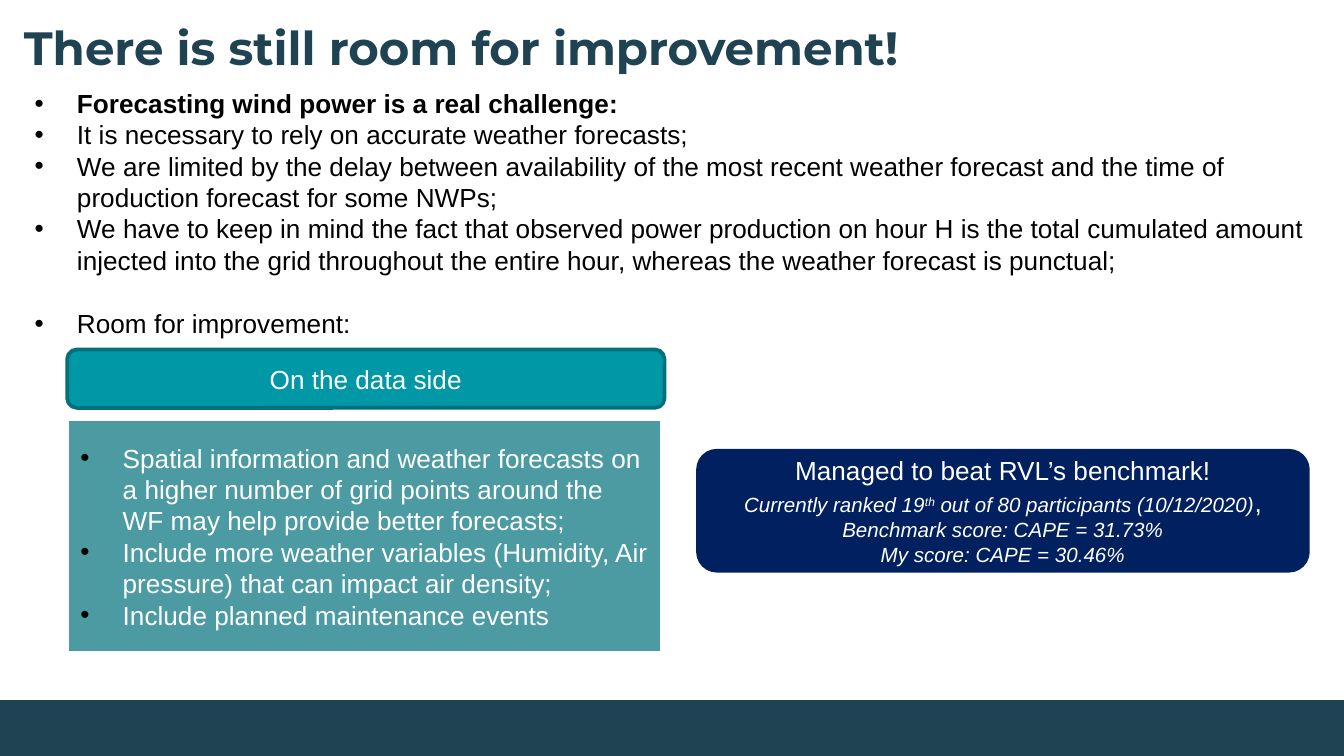
from pptx import Presentation
from pptx.dml.color import RGBColor
from pptx.enum.shapes import MSO_SHAPE
from pptx.enum.text import MSO_ANCHOR, PP_ALIGN
from pptx.oxml.ns import qn
from pptx.util import Pt
from lxml import etree

RECTANGLE, ROUNDED = MSO_SHAPE.RECTANGLE, MSO_SHAPE.ROUNDED_RECTANGLE
TOP, MIDDLE = MSO_ANCHOR.TOP, MSO_ANCHOR.MIDDLE
LEFT, CENTER = PP_ALIGN.LEFT, PP_ALIGN.CENTER

PX = 4572  # 200 px to the inch
WIDTH, HEIGHT = 2000, 1125
BULLET_INDENT = 63
BLACK, WHITE, SLATE, NAVY = "000000", "FFFFFF", "1F4352", "002060"

FACTS = [
    "It is necessary to rely on accurate weather forecasts;",
    "We are limited by the delay between availability of the most recent weather "
    "forecast and the time of production forecast for some NWPs;",
    "We have to keep in mind the fact that observed power production on hour H is "
    "the total cumulated amount injected into the grid throughout the entire hour, "
    "whereas the weather forecast is punctual;",
    "Room for improvement:",
]
IDEAS = [
    "Spatial information and weather forecasts on a higher number of grid points "
    "around the WF may help provide better forecasts;",
    "Include more weather variables (Humidity, Air pressure) that can impact air density;",
    "Include planned maintenance events",
]


def color(value):
    return RGBColor.from_string(value)


def emu(box):
    return [length * PX for length in box]


def add_box(slide, box, preset, fill, line=None, alpha=None):
    shape = slide.shapes.add_shape(preset, *emu(box))
    shape.shadow.inherit = False
    shape.fill.solid()
    shape.fill.fore_color.rgb = color(fill)
    if alpha:
        fill_color = shape._element.spPr.find(qn("a:solidFill"))[0]
        etree.SubElement(fill_color, qn("a:alpha"), val=str(alpha * 1000))
    if line:
        shape.line.color.rgb = color(line)
        shape.line.width = Pt(2)
    else:
        shape.line.fill.background()
    return shape


def add_text_box(slide, box):
    return slide.shapes.add_textbox(*emu(box))


def add_bullet(paragraph):
    properties = paragraph._p.get_or_add_pPr()
    properties.set("marL", str(BULLET_INDENT * PX))
    properties.set("indent", str(-BULLET_INDENT * PX))
    bullet_color = etree.SubElement(properties, qn("a:buClr"))
    etree.SubElement(bullet_color, qn("a:srgbClr"), val=BLACK)
    etree.SubElement(properties, qn("a:buFont"), typeface="Arial")
    etree.SubElement(properties, qn("a:buChar"), char="•")


def write(shape, paragraphs, text_color, align=LEFT, anchor=TOP, bullets=False):
    """Each paragraph is a list of (text, style) runs."""
    frame = shape.text_frame
    frame.word_wrap = True
    frame.vertical_anchor = anchor
    for index, runs in enumerate(paragraphs):
        paragraph = frame.add_paragraph() if index else frame.paragraphs[0]
        paragraph.alignment = align
        if bullets:
            add_bullet(paragraph)
        for text, style in runs:
            run = paragraph.add_run()
            run.text = text
            run.font.name = style.get("font", "Arial")
            run.font.size = Pt(style.get("size", 14))
            run.font.bold = style.get("bold", False)
            run.font.italic = style.get("italic", False)
            run.font.color.rgb = color(text_color)
            if "raised" in style:
                run.font._element.set("baseline", str(style["raised"] * 1000))


def add_title(slide, box):
    title = add_text_box(slide, box)
    frame = title.text_frame
    frame.margin_top = frame.margin_bottom = 20 * PX
    style = {"font": "Montserrat", "size": 25, "bold": True}
    write(title, [[("There is still room for improvement!", style)]], SLATE)


def add_challenges(slide, box):
    challenges = add_text_box(slide, box)
    heading = ("Forecasting wind power is a real challenge:", {"bold": True})
    write(challenges, [[heading]] + [[(fact, {})] for fact in FACTS], BLACK, bullets=True)
    challenges.text_frame.paragraphs[-1].space_before = Pt(17)


def add_data_side(slide, box):
    left, top, width, height = box
    header_height, body_offset = 87, 104
    # Header
    header = add_box(slide, (left, top, width, header_height), ROUNDED, "0097A7", "00707C")
    write(header, [[("On the data side", {})]], WHITE, CENTER, MIDDLE)
    # Ideas
    body_box = (left, top + body_offset, width - 4, height - body_offset)
    body = add_box(slide, body_box, RECTANGLE, "00717D", WHITE, alpha=70)
    write(body, [[(idea, {})] for idea in IDEAS], WHITE, anchor=MIDDLE, bullets=True)


def add_result(slide, box):
    result = add_box(slide, box, ROUNDED, NAVY)
    small = {"size": 11, "italic": True}
    write(result, [
        [("Managed to beat RVL’s benchmark!", {})],
        [("Currently ranked 19", small), ("th", {**small, "raised": 30}),
         (" out of 80 participants (10/12/2020)", small), (",", {})],
        [("Benchmark score: CAPE = 31.73%", small)],
        [("My score: CAPE = 30.46%", small)],
    ], WHITE, CENTER, MIDDLE)


def add_footer(slide, box):
    add_box(slide, box, RECTANGLE, SLATE)


def main():
    presentation = Presentation()
    presentation.slide_width, presentation.slide_height = emu((WIDTH, HEIGHT))
    slide = presentation.slides.add_slide(presentation.slide_layouts[6])
    add_title(slide, (16, 8, 1960, 124))
    add_footer(slide, (0, 1042, WIDTH, HEIGHT - 1042))
    add_challenges(slide, (32, 120, 1960, 398))
    add_result(slide, (1036, 668, 913, 184))
    add_data_side(slide, (100, 520, 889, 452))
    presentation.save("out.pptx")


if __name__ == "__main__":
    main()
